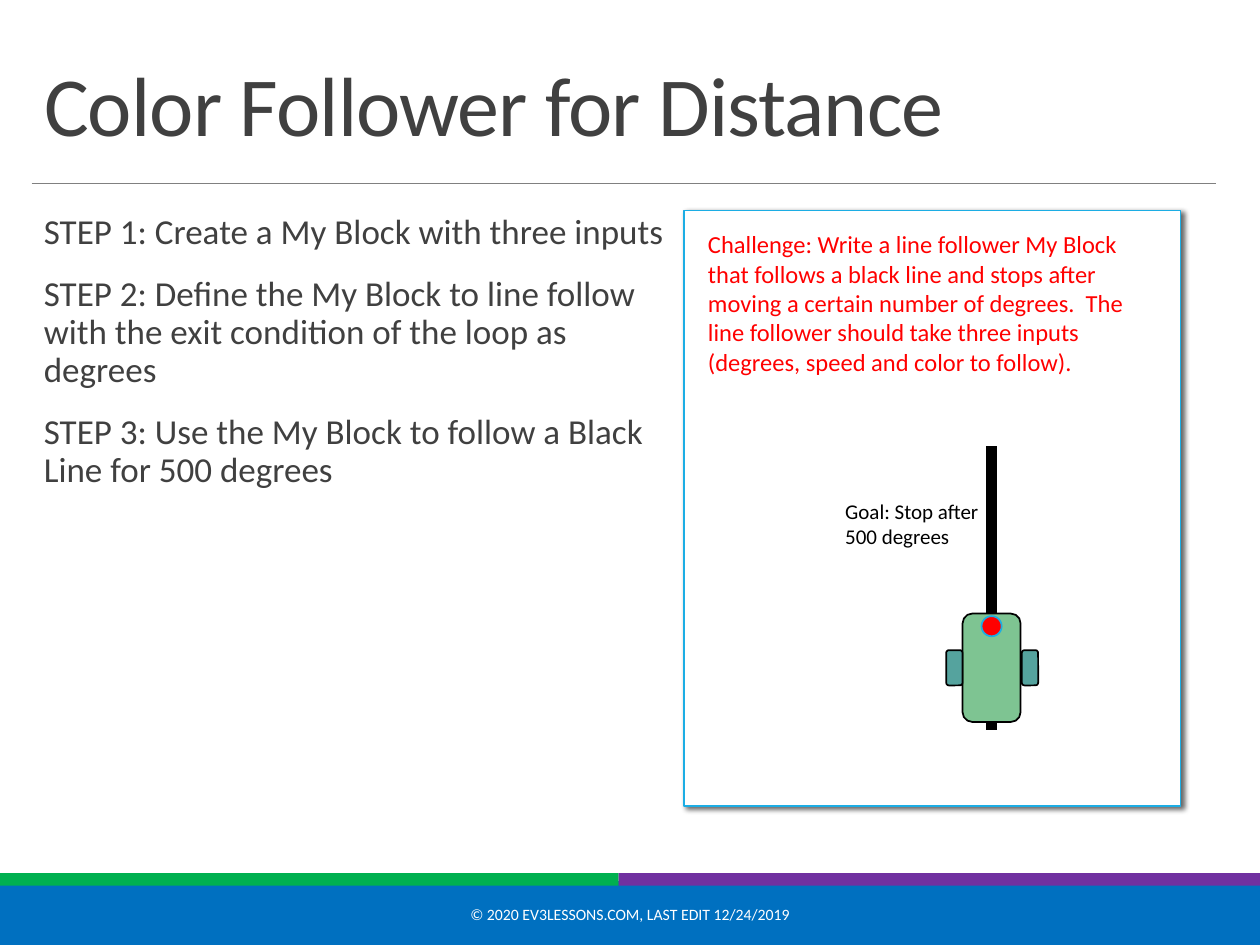
from dataclasses import dataclass
from typing import Optional

from lxml import etree
from pptx import Presentation
from pptx.dml.color import RGBColor
from pptx.enum.shapes import MSO_CONNECTOR, MSO_SHAPE
from pptx.enum.text import MSO_ANCHOR, MSO_AUTO_SIZE, PP_ALIGN
from pptx.oxml import parse_xml
from pptx.oxml.ns import nsdecls, qn
from pptx.util import Inches, Pt

FONT = "Calibri"
DARK, BLACK, WHITE, RED, ACCENT = "404040", "000000", "FFFFFF", "FF0000", "1CADE4"
BODY, WHEEL = "7EC492", "55A39E"


@dataclass
class Block:
    left: float
    top: float
    width: float
    height: float
    fill: str
    line: Optional[str] = None
    weight: float = 1
    kind: MSO_SHAPE = MSO_SHAPE.RECTANGLE


@dataclass
class Rule:
    start: tuple[float, float]
    end: tuple[float, float]
    color: str
    weight: float


@dataclass
class Label:
    left: float
    top: float
    width: float
    height: float
    text: str
    size: float
    color: str
    align: PP_ALIGN = PP_ALIGN.LEFT
    anchor: MSO_ANCHOR = MSO_ANCHOR.TOP
    fit: bool = True


def rgb(color: str) -> RGBColor:
    return RGBColor.from_string(color)


def draw_block(shapes, block: Block):
    shape = shapes.add_shape(block.kind, Inches(block.left), Inches(block.top),
                             Inches(block.width), Inches(block.height))
    shape.shadow.inherit = False
    shape.fill.solid()
    shape.fill.fore_color.rgb = rgb(block.fill)
    if block.line:
        shape.line.color.rgb = rgb(block.line)
        shape.line.width = Pt(block.weight)
    else:
        shape.line.fill.background()
    return shape


def draw_rule(shapes, rule: Rule) -> None:
    ends = [Inches(value) for value in (*rule.start, *rule.end)]
    connector = shapes.add_connector(MSO_CONNECTOR.STRAIGHT, *ends)
    connector.line.color.rgb = rgb(rule.color)
    connector.line.width = Pt(rule.weight)
    etree.SubElement(connector._element.spPr, qn("a:effectLst"))


def format_runs(paragraph, size: float, color: str) -> None:
    for run in paragraph.runs:
        run.font.name = FONT
        run.font.size = Pt(size)
        run.font.color.rgb = rgb(color)


def draw_label(shapes, label: Label):
    box = shapes.add_textbox(Inches(label.left), Inches(label.top),
                             Inches(label.width), Inches(label.height))
    frame = box.text_frame
    frame.word_wrap = True
    frame.auto_size = MSO_AUTO_SIZE.SHAPE_TO_FIT_TEXT if label.fit else MSO_AUTO_SIZE.NONE
    frame.vertical_anchor = label.anchor
    frame.text = label.text
    for paragraph in frame.paragraphs:
        paragraph.alignment = label.align
        format_runs(paragraph, label.size, label.color)
    return box


def add_shadow(shape) -> None:
    effects = shape._element.spPr.find(qn("a:effectLst"))
    effects.append(parse_xml(
        f'<a:outerShdw {nsdecls("a")} blurRad="{Pt(3)}" dist="{Pt(2)}" dir="2700000" '
        'algn="tl" rotWithShape="0"><a:srgbClr val="000000"><a:alpha val="60000"/>'
        '</a:srgbClr></a:outerShdw>'))


def draw_title(slide, text: str) -> None:
    title = slide.shapes.title
    title.left, title.top = Inches(0.25), Inches(0.31)
    title.width, title.height = Inches(9.4), Inches(0.96)
    frame = title.text_frame
    frame.text = text
    frame.word_wrap = True
    frame.auto_size = MSO_AUTO_SIZE.NONE
    frame.vertical_anchor = MSO_ANCHOR.BOTTOM
    heading = frame.paragraphs[0]
    heading.alignment = PP_ALIGN.LEFT
    heading.line_spacing = 0.85
    format_runs(heading, 48, DARK)
    heading.runs[0].font._element.set("spc", "-50")


def draw_steps(shapes, steps: list[str]) -> None:
    box = draw_label(shapes, Label(0.25, 1.65, 5.03, 5.09, "\n".join(steps), 20, DARK, fit=False))
    box.text_frame.margin_right = 0
    for index, paragraph in enumerate(box.text_frame.paragraphs):
        paragraph.line_spacing = 0.9
        paragraph.space_before = Pt(12 if index else 0)
        paragraph.space_after = Pt(2)


def draw_robot(shapes) -> None:
    robot = shapes.add_group_shape().shapes
    rounded = MSO_SHAPE.ROUNDED_RECTANGLE
    draw_block(robot, Block(7.64, 4.87, 0.46, 0.86, BODY, BLACK, kind=rounded))
    for wheel_left in (8.11, 7.51):
        draw_block(robot, Block(wheel_left, 5.16, 0.13, 0.28, WHEEL, BLACK, kind=rounded))
    # Color sensor
    draw_block(robot, Block(7.79, 4.89, 0.16, 0.16, RED, ACCENT, kind=MSO_SHAPE.OVAL))


def main() -> None:
    deck = Presentation()
    deck.slide_width, deck.slide_height = Inches(10), Inches(7.5)
    slide = deck.slides.add_slide(deck.slide_layouts[5])
    shapes = slide.shapes

    # Footer bands and title rule
    for band in (Block(0, 7, 10, 0.5, "0070C0", "0070C0", 1.25),
                 Block(0, 6.93, 4.91, 0.1, "00B050"),
                 Block(4.91, 6.93, 5.09, 0.1, "7030A0")):
        draw_block(shapes, band)
    draw_rule(shapes, Rule((0.25, 1.46), (9.65, 1.46), "808080", 0.5))
    draw_label(shapes, Label(3.02, 7.06, 3.96, 0.4, "© 2020 EV3LESSONS.COM, LAST EDIT 12/24/2019",
                             9, WHITE, PP_ALIGN.CENTER, MSO_ANCHOR.MIDDLE, fit=False))

    # Title and steps
    draw_title(slide, "Color Follower for Distance")
    draw_steps(shapes, [
        "STEP 1: Create a My Block with three inputs",
        "STEP 2: Define the My Block to line follow with the exit condition of the loop as degrees",
        "STEP 3: Use the My Block to follow a Black Line for 500 degrees",
    ])

    # Challenge panel
    add_shadow(draw_block(shapes, Block(5.43, 1.67, 3.94, 4.73, WHITE, ACCENT)))
    draw_label(shapes, Label(
        5.52, 1.77, 3.65, 1.28,
        "Challenge: Write a line follower My Block that follows a black line and stops after "
        "moving a certain number of degrees.  The line follower should take three inputs "
        "(degrees, speed and color to follow).", 14, RED))

    # Robot on the black line
    draw_rule(shapes, Rule((7.87, 5.79), (7.87, 3.54), BLACK, 6))
    draw_robot(shapes)
    draw_label(shapes, Label(6.61, 3.91, 1.34, 0.5, "Goal: Stop after 500 degrees", 12, BLACK))

    deck.save("out.pptx")


if __name__ == "__main__":
    main()
